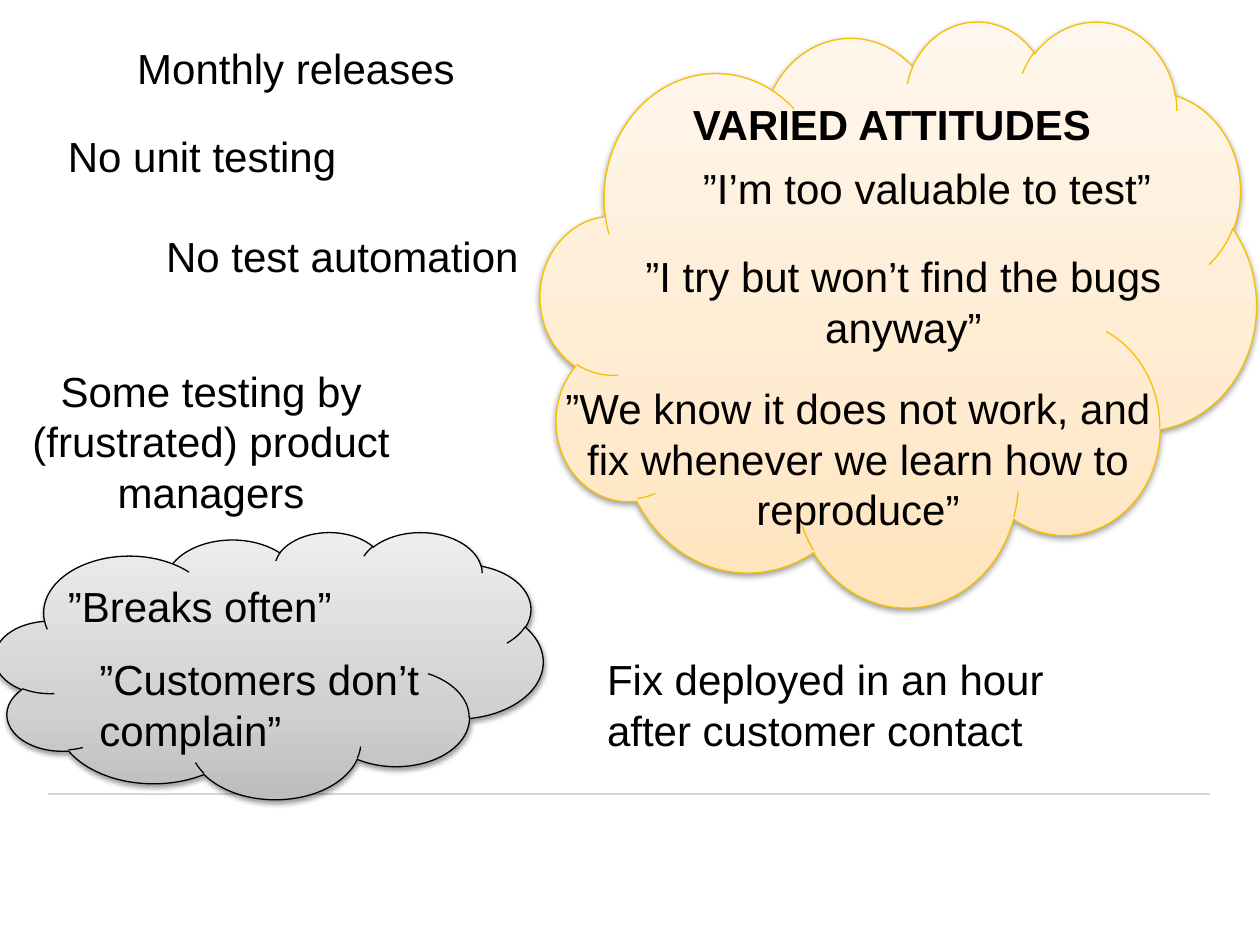
from lxml import etree
from pptx import Presentation
from pptx.dml.color import RGBColor
from pptx.enum.shapes import MSO_CONNECTOR, MSO_SHAPE
from pptx.enum.text import MSO_AUTO_SIZE, PP_ALIGN
from pptx.oxml.ns import qn
from pptx.util import Inches, Pt

BLACK = RGBColor(0x00, 0x00, 0x00)
AMBER = RGBColor(0xF7, 0xBF, 0x00)
RULE_GREY = RGBColor(0xD7, 0xD7, 0xD7)
GREYS = (RGBColor(0xBD, 0xBD, 0xBD), RGBColor(0xD1, 0xD1, 0xD1), RGBColor(0xEE, 0xEE, 0xEE))
CREAMS = (RGBColor(0xFF, 0xE4, 0xBC), RGBColor(0xFF, 0xEB, 0xD0), RGBColor(0xFF, 0xF7, 0xED))
STOPS = (0, 35, 100)

# left, top, width, height, words
SINGLE_LINES = [
    (0.99, 0.29, 2.75, 0.5, "Monthly releases"),
    (0.44, 0.99, 2.35, 0.5, "No unit testing"),
    (1.22, 1.78, 3.03, 0.5, "No test automation"),
    (4.72, 5.14, 3.8, 0.91, "Fix deployed in an hour \vafter customer contact"),
    (5.48, 1.24, 3.79, 0.5, "”I’m too valuable to test”"),
    (0.44, 4.56, 2.32, 0.5, "”Breaks often”"),
]
CENTRED_BLOCKS = [
    (0, 2.85, 3.35, 1.31, "Some testing by (frustrated) product managers"),
    (5.01, 1.94, 4.32, 0.91, "”I try but won’t find the bugs anyway”"),
    (4.29, 2.99, 5.04, 1.31,
     "”We know it does not work, and fix whenever we learn how to reproduce”"),
]


def add_child(parent, tag, **attributes):
    child = etree.SubElement(parent, qn(tag))
    for name, value in attributes.items():
        child.set(name, str(value))
    return child


def fill_upward(shape, colours):
    """Three-stop gradient running from the bottom to the top."""
    shape.fill.gradient()
    gradient = shape._element.spPr.find(qn("a:gradFill"))
    for child in list(gradient):
        gradient.remove(child)
    stops = add_child(gradient, "a:gsLst")
    for percent, colour in zip(STOPS, colours):
        stop = add_child(stops, "a:gs", pos=percent * 1000)
        add_child(stop, "a:srgbClr", val=colour)
    add_child(gradient, "a:lin", ang=270 * 60000, scaled=0)


def add_soft_shadow(shape):
    shape.shadow.inherit = False
    effects = shape._element.spPr.find(qn("a:effectLst"))
    shadow = add_child(effects, "a:outerShdw", blurRad=Pt(3.1), dist=Pt(1.6),
                       dir=90 * 60000, rotWithShape=0)
    colour = add_child(shadow, "a:srgbClr", val=BLACK)
    add_child(colour, "a:alpha", val=38000)


def add_cloud(page, left, top, width, height, colours, outline):
    cloud = page.shapes.add_shape(MSO_SHAPE.CLOUD, Inches(left), Inches(top),
                                  Inches(width), Inches(height))
    fill_upward(cloud, colours)
    cloud.line.color.rgb = outline
    cloud.line.width = Pt(0.75)
    add_soft_shadow(cloud)


def add_text(page, left, top, width, height, words, wrap=False,
             align=PP_ALIGN.LEFT, bold=False):
    box = page.shapes.add_textbox(Inches(left), Inches(top), Inches(width), Inches(height))
    frame = box.text_frame
    frame.word_wrap = wrap
    frame.auto_size = MSO_AUTO_SIZE.SHAPE_TO_FIT_TEXT
    para = frame.paragraphs[0]
    para.text = words
    para.alignment = align
    para.font.name = "Arial"
    para.font.size = Pt(24)
    para.font.bold = bold
    para.font.color.rgb = BLACK


def add_footer_rule(page):
    rule = page.shapes.add_connector(MSO_CONNECTOR.STRAIGHT, Inches(0.38), Inches(6.3),
                                     Inches(9.6), Inches(6.3))
    rule.line.color.rgb = RULE_GREY
    rule.line.width = Pt(1)
    add_child(rule._element.spPr, "a:effectLst")


def main():
    deck = Presentation()
    deck.slide_width, deck.slide_height = Inches(10), Inches(7.5)
    page = deck.slides.add_slide(deck.slide_layouts[6])

    add_footer_rule(page)
    add_cloud(page, -0.04, 4.22, 4.35, 2.12, GREYS, BLACK)
    add_cloud(page, 4.29, 0.16, 5.68, 4.65, CREAMS, AMBER)
    for line in SINGLE_LINES:
        add_text(page, *line)
    for block in CENTRED_BLOCKS:
        add_text(page, *block, wrap=True, align=PP_ALIGN.CENTER)
    add_text(page, 0.69, 5.14, 3.13, 0.91, "”Customers don’t complain”", wrap=True)
    add_text(page, 5.4, 0.73, 3.39, 0.5, "VARIED ATTITUDES", bold=True)

    deck.save("out.pptx")


if __name__ == "__main__":
    main()
